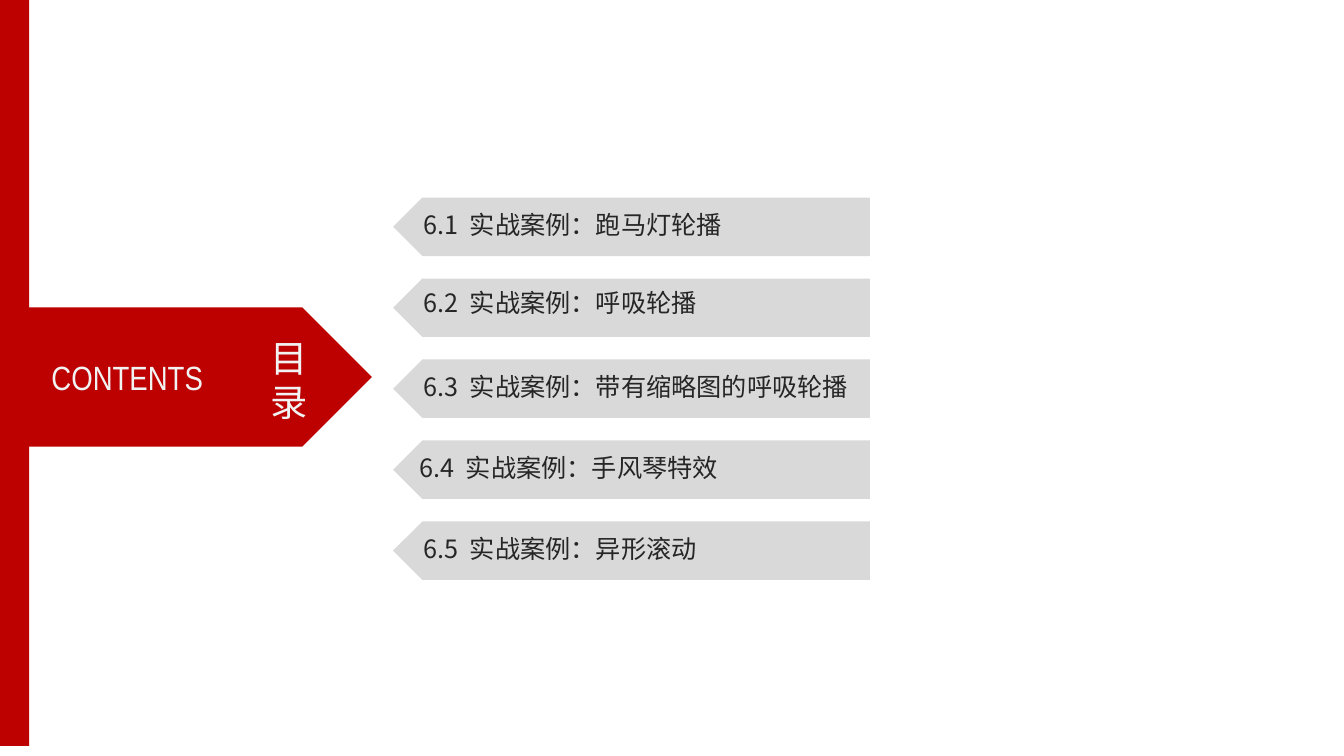
"""Build the contents slide with a red banner and five case tabs."""
from dataclasses import dataclass

from lxml.etree import SubElement as Sub
from pptx import Presentation
from pptx.dml.color import RGBColor as RGB
from pptx.enum.shapes import MSO_SHAPE as Kind
from pptx.enum.text import MSO_ANCHOR as Anchor, MSO_AUTO_SIZE as Auto, PP_ALIGN as Align
from pptx.oxml.ns import qn
from pptx.util import Inches, Pt

WIDE, HIGH = Inches(13.33), Inches(7.5)
RED = RGB(0xBD, 0x00, 0x00)
GREY = RGB(0xD9, 0xD9, 0xD9)
DARK = RGB(0x26, 0x26, 0x26)
PALE = RGB(0xF2, 0xF2, 0xF2)
WHITE = RGB(0xFF, 0xFF, 0xFF)
MIST = RGB(0xFC, 0xFC, 0xFC)
SANS, SLIM = "Noto Sans CJK SC", "Arial Narrow"
TOP, STEP = 26.13, 10.71


@dataclass(frozen=True)
class Box:
    """Place and size in percent of the slide."""
    x: float
    y: float
    w: float
    h: float

    def spans(self) -> tuple[int, int, int, int]:
        """Return left, top, width and height as lengths."""
        return (int(WIDE * self.x / 100), int(HIGH * self.y / 100),
                int(WIDE * self.w / 100), int(HIGH * self.h / 100))


@dataclass(frozen=True)
class Case:
    """One entry of the list, with its shift in percent."""
    num: str
    name: str
    dx: float = 0
    dy: float = 0


CASES = (
    Case("6.1", "实战案例：跑马灯轮播"),
    Case("6.2", "实战案例：呼吸轮播", dy=-0.4),
    Case("6.3", "实战案例：带有缩略图的呼吸轮播"),
    Case("6.4", "实战案例：手风琴特效", dx=-0.3),
    Case("6.5", "实战案例：异形滚动"),
)


def block(slide, kind: Kind, box: Box, fill: RGB, flip: bool = False) -> None:
    """Draw a plain filled shape."""
    shape = slide.shapes.add_shape(kind, *box.spans())
    shape.shadow.inherit = False
    shape.fill.solid()
    shape.fill.fore_color.rgb = fill
    shape.line.fill.background()
    if flip:
        shape._element.spPr.xfrm.set("flipH", "1")


def style(para, size: float, face: str, ink: RGB) -> None:
    """Set the font of a paragraph for all scripts."""
    font = para.font
    font.size, font.name, font.bold = Pt(size), face, False
    font.color.rgb = ink
    Sub(font._rPr, qn("a:ea"), typeface=face)


def label(slide, box: Box, text: str, size: float, face: str, ink: RGB,
          tab: float = 0) -> None:
    """Write one line of text without margins."""
    frame = slide.shapes.add_textbox(*box.spans()).text_frame
    frame.word_wrap = True
    frame.vertical_anchor = Anchor.MIDDLE
    frame.margin_left = frame.margin_right = 0
    frame.margin_top = frame.margin_bottom = 0
    para = frame.paragraphs[0]
    para.text = text
    if tab:
        stops = Sub(para._p.get_or_add_pPr(), qn("a:tabLst"))
        Sub(stops, qn("a:tab"), pos=str(Inches(tab)), algn="l")
    style(para, size, face, ink)


def head(slide, box: Box, text: str) -> None:
    """Place the title in a narrow column on the banner."""
    title = slide.shapes.title
    title.left, title.top, title.width, title.height = box.spans()
    slide.shapes._spTree.append(title._element)
    frame = title.text_frame
    frame.word_wrap, frame.auto_size = True, Auto.NONE
    frame.vertical_anchor = Anchor.TOP
    para = frame.paragraphs[0]
    para.text = text
    para.alignment, para.line_spacing = Align.CENTER, Pt(32)
    style(para, 26.6, SANS, PALE)


def main() -> None:
    """Build and save the slide."""
    deck = Presentation()
    deck.slide_width, deck.slide_height = WIDE, HIGH
    slide = deck.slides.add_slide(deck.slide_layouts[5])
    back = slide.background.fill
    back.gradient()
    back.gradient_angle = 270
    for stop, tint in zip(back.gradient_stops, (WHITE, MIST)):
        stop.color.rgb = tint

    block(slide, Kind.PENTAGON, Box(0, 40.67, 27.68, 18.4), RED)
    block(slide, Kind.RECTANGLE, Box(0, 0, 2.18, 98.67), RED)
    label(slide, Box(3.83, 47.2, 13.5, 5.33), "CONTENTS", 24, SLIM, PALE)
    head(slide, Box(19.28, 43.6, 4.43, 14), "目录")
    for row, case in enumerate(CASES):
        y = TOP + row * STEP
        block(slide, Kind.PENTAGON, Box(29.25, y, 35.48, 7.73), GREY, flip=True)
        label(slide, Box(31.51 + case.dx, y + 1.6 + case.dy, 33, 4),
              f"{case.num}\t{case.name}", 18, SANS, DARK, tab=0.46)
    deck.save("out.pptx")


if __name__ == "__main__":
    main()
